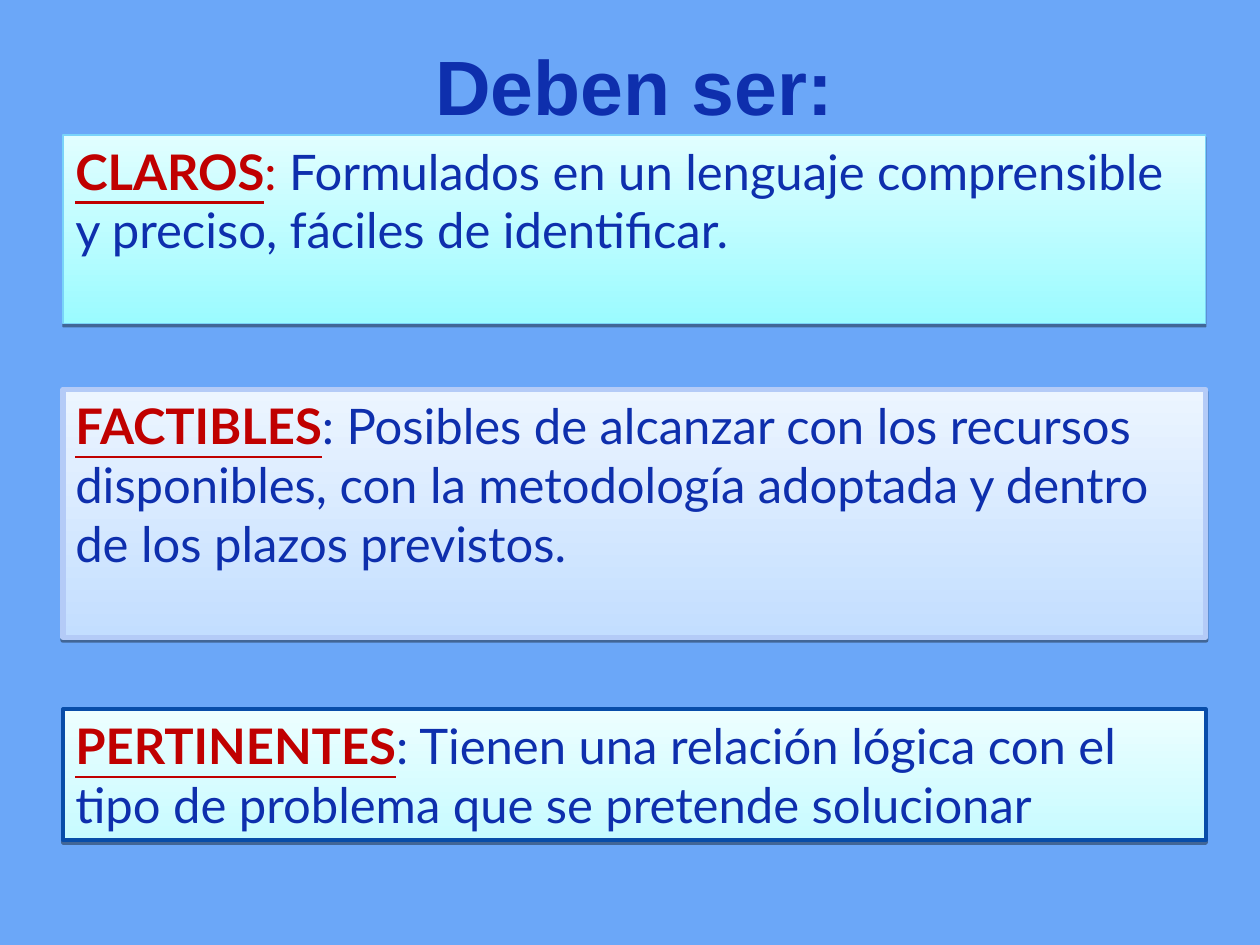
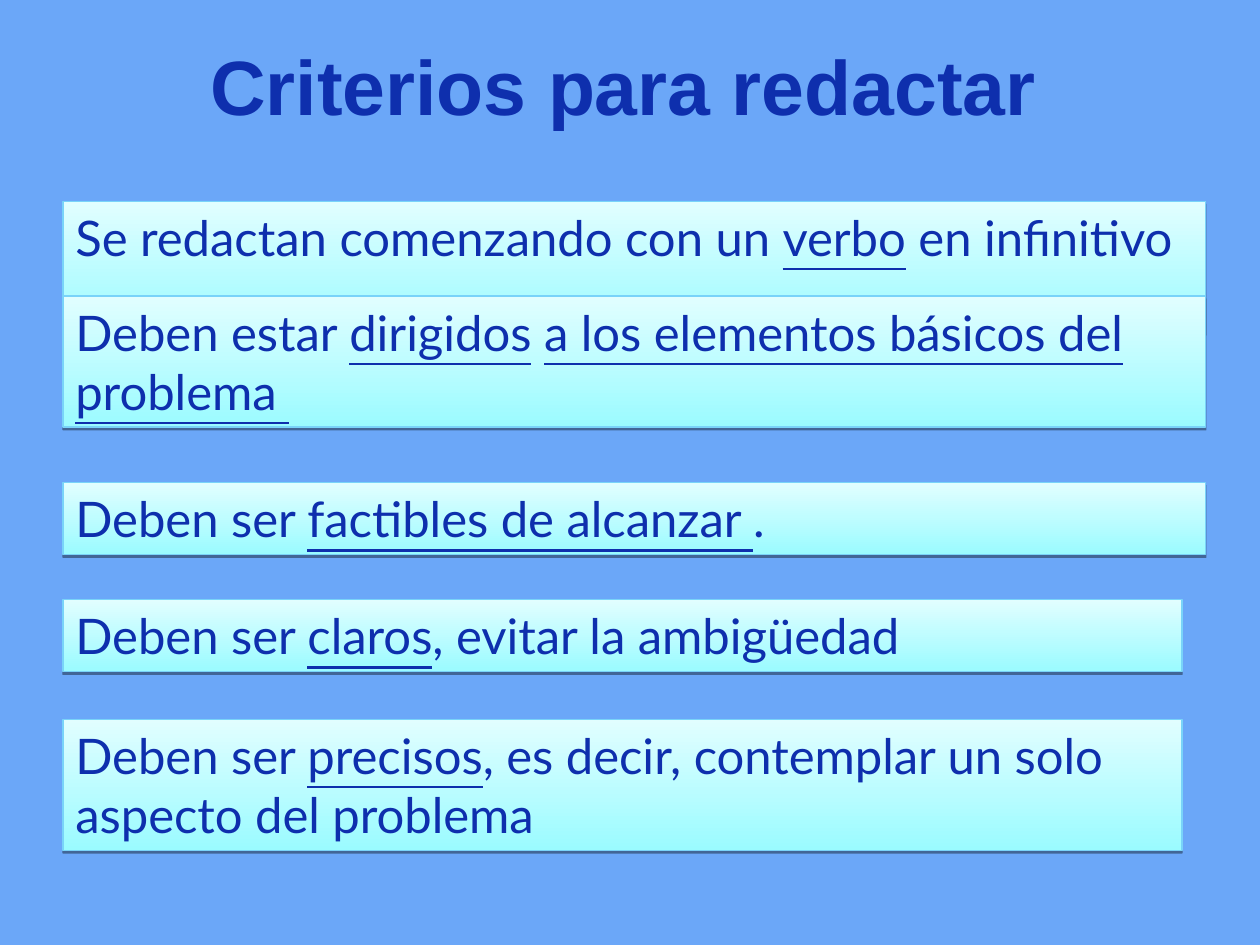
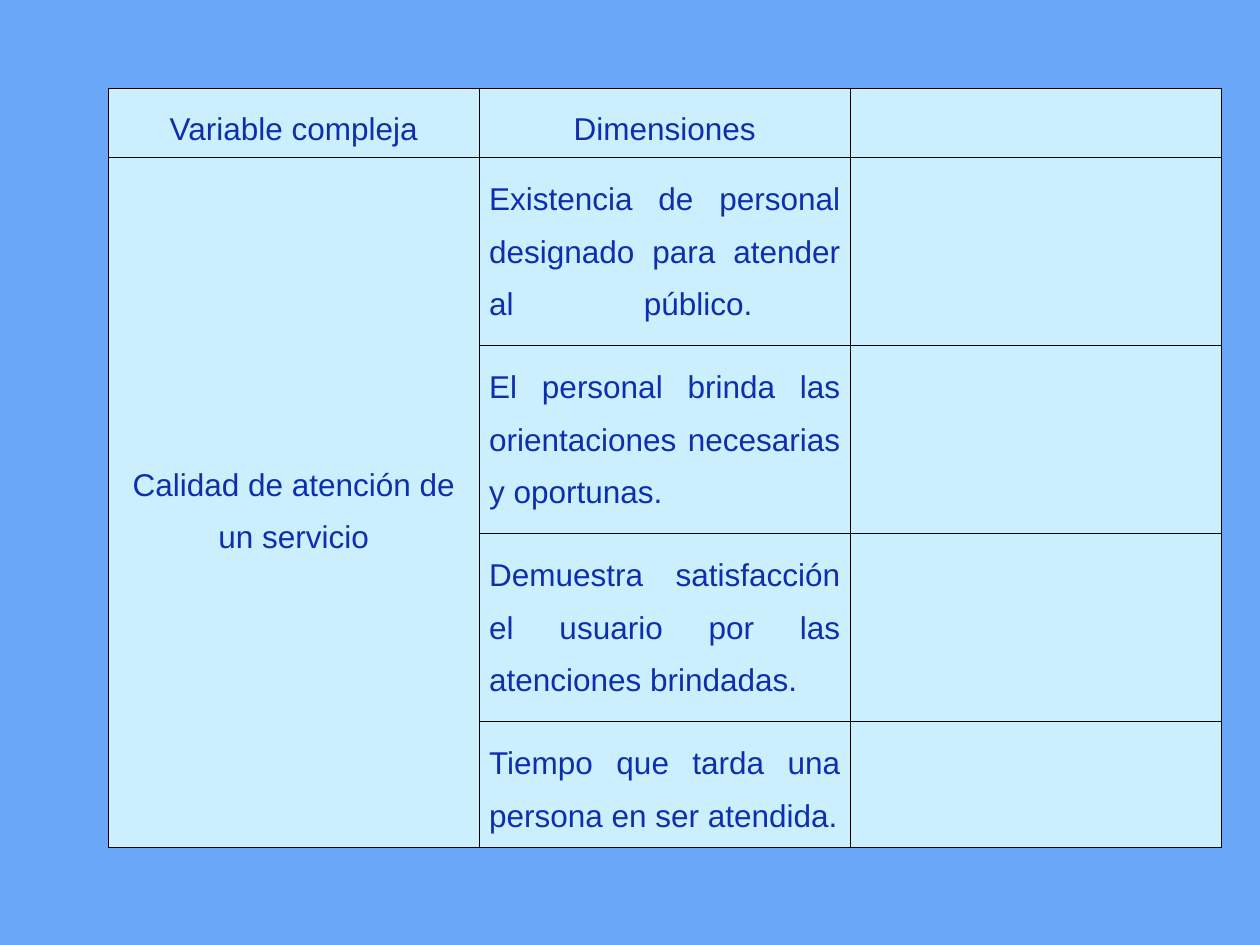
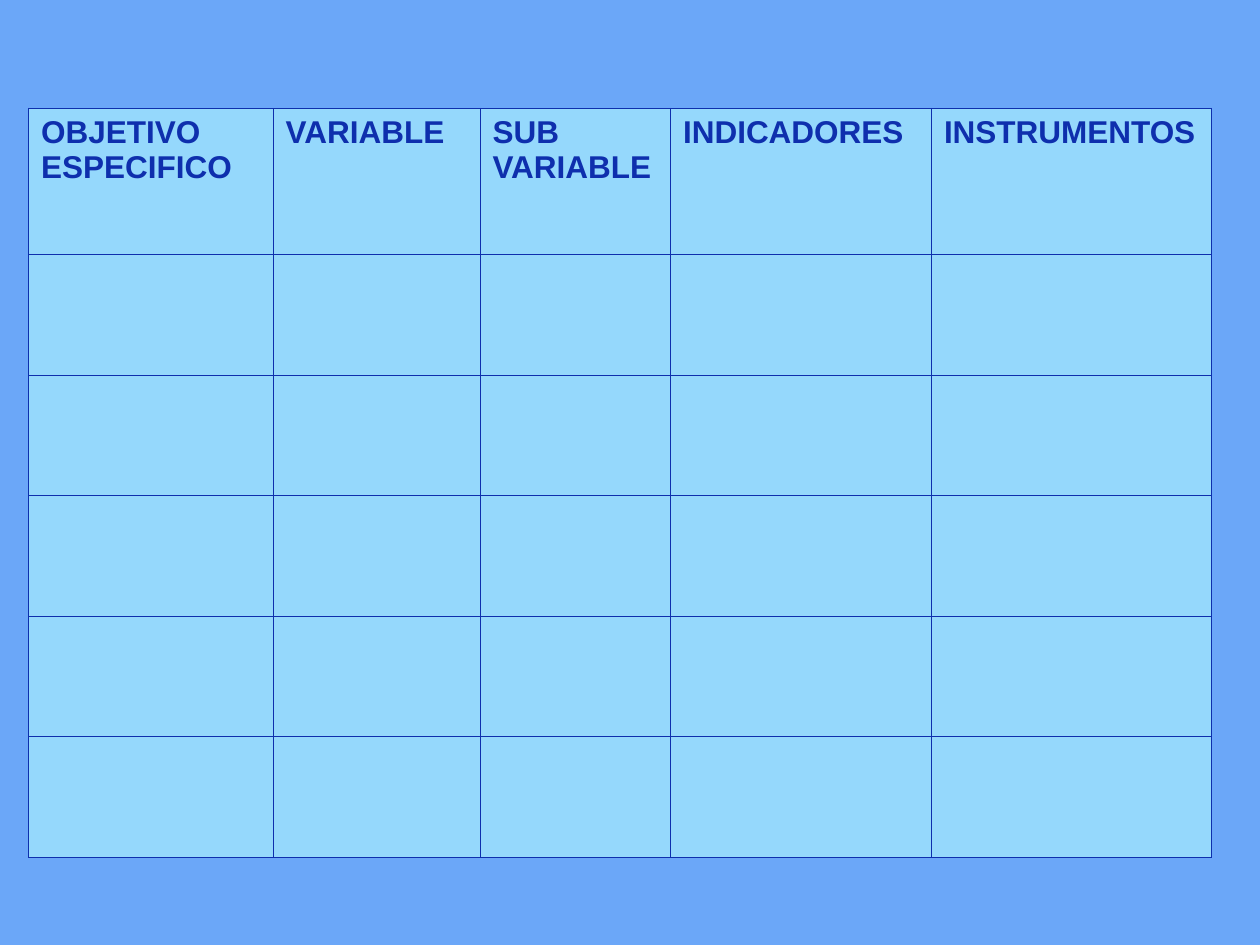
import pptx
import pptx.dml.color
import pptx.enum.shapes
import pptx.enum.text
import pptx.oxml
import pptx.oxml.ns
import pptx.util
import lxml.etree

Cm = pptx.util.Cm
Pt = pptx.util.Pt
rgb = pptx.dml.color.RGBColor.from_string
qn = pptx.oxml.ns.qn
ALIGN = pptx.enum.text.PP_ALIGN
ANCHOR = pptx.enum.text.MSO_ANCHOR

COLORS = {
    "background": "6BA7F8",
    "text": "0E2FAD",
    "keyword": "C00000",
    "shadow": "000000",
    "dimension_border": "000000",
    "dimension_fill": "CCEFFE",
    "matrix_fill": "95D8FC",
    "aqua_low": "9BFBFF", "aqua_high": "E1FEFF", "aqua_line": "79D3F9",
    "blue_low": "C3DEFF", "blue_high": "ECF5FF", "blue_line": "B4CBF7",
    "pale_low": "C7FBFF", "pale_high": "EDFEFF", "pale_line": "084DA9",
}
LINE_WIDTHS = {"aqua": 0.75, "blue": 3, "pale": 2.25}
LEFT = 1.27
WIDE = 23.04
NARROW = 22.56

RUN_STYLES = {
    "plain": ("text", False, False),
    "underlined": ("text", False, True),
    "keyword": ("keyword", True, True),
    "colon": ("keyword", False, False),
}


def style_run(run, font, size, color="text", bold=False, underline=False):
    run.font.name = font
    run.font.size = Pt(size)
    run.font.bold = bold
    run.font.underline = underline
    run.font.color.rgb = rgb(COLORS[color])


def add_grid(slide, left, top, widths, heights, fill, border, side_margin):
    grid = slide.shapes.add_table(
        len(heights), len(widths), Cm(left), Cm(top), Cm(sum(widths)), Cm(sum(heights))
    ).table
    grid.first_row = False
    grid.horz_banding = False
    for column, width in zip(grid.columns, widths):
        column.width = Cm(width)
    for row, height in zip(grid.rows, heights):
        row.height = Cm(height)
    for cell in grid.iter_cells():
        cell.margin_left = cell.margin_right = Cm(side_margin)
        properties = cell._tc.get_or_add_tcPr()
        for side in ("a:lnL", "a:lnR", "a:lnT", "a:lnB"):
            edge = lxml.etree.SubElement(properties, qn(side), w=str(Pt(0.45)))
            solid = lxml.etree.SubElement(edge, qn("a:solidFill"))
            lxml.etree.SubElement(solid, qn("a:srgbClr"), val=COLORS[border])
        cell.fill.solid()
        cell.fill.fore_color.rgb = rgb(COLORS[fill])
    return grid


deck = pptx.Presentation()
deck.slide_width = Cm(25.4)
deck.slide_height = Cm(19.05)
deck.slide_master.background.fill.solid()
deck.slide_master.background.fill.fore_color.rgb = rgb(COLORS["background"])
blank = deck.slide_layouts[6]

criteria_slides = [
    ("Deben ser:", [
        (2.72, WIDE, 3.81, "aqua", [
            ("CLAROS", "keyword"), (":", "colon"),
            (" Formulados en un lenguaje comprensible y preciso, fáciles de identificar.", "plain")]),
        (7.85, WIDE, 5, "blue", [
            ("FACTIBLES", "keyword"),
            (": Posibles de alcanzar con los recursos disponibles, con la metodología "
             "adoptada y dentro de los plazos previstos.", "plain")]),
        (14.3, WIDE, 2.64, "pale", [
            ("PERTINENTES", "keyword"),
            (": Tienen una relación lógica con el tipo de problema que se pretende solucionar", "plain")]),
    ]),
    ("Criterios para redactar ", [
        (4.06, WIDE, 2.64, "aqua", [
            ("Se redactan comenzando con un ", "plain"), ("verbo", "underlined"),
            (" en infinitivo", "plain")]),
        (5.97, WIDE, 2.64, "aqua", [
            ("Deben estar ", "plain"), ("dirigidos", "underlined"), (" ", "plain"),
            ("a los elementos básicos del problema ", "underlined")]),
        (9.73, WIDE, 1.45, "aqua", [
            ("Deben ser ", "plain"), ("factibles de alcanzar ", "underlined"), (".", "plain")]),
        (12.09, NARROW, 1.45, "aqua", [
            ("Deben ser ", "plain"), ("claros", "underlined"),
            (", evitar la ambigüedad", "plain")]),
        (14.5, NARROW, 2.64, "aqua", [
            ("Deben ser ", "plain"), ("precisos", "underlined"),
            (", es decir, contemplar un solo aspecto del problema", "plain")]),
    ]),
]

for heading, criteria in criteria_slides:
    slide = deck.slides.add_slide(blank)
    title = slide.shapes.add_textbox(Cm(LEFT), Cm(0.71), Cm(WIDE), Cm(2))
    title.text_frame.word_wrap = True
    title.text_frame.vertical_anchor = ANCHOR.MIDDLE
    title.text_frame.text = heading
    title.text_frame.paragraphs[0].alignment = ALIGN.CENTER
    style_run(title.text_frame.paragraphs[0].runs[0], "Arial", 44, bold=True)

    for top, width, height, theme, parts in criteria:
        criterion = slide.shapes.add_shape(
            pptx.enum.shapes.MSO_SHAPE.RECTANGLE, Cm(LEFT), Cm(top), Cm(width), Cm(height))
        criterion.fill.gradient()
        criterion.fill.gradient_angle = 90
        for stop, position, tone in zip(criterion.fill.gradient_stops, (0, 1), ("low", "high")):
            stop.position = position
            stop.color.rgb = rgb(COLORS[f"{theme}_{tone}"])
        criterion.line.color.rgb = rgb(COLORS[f"{theme}_line"])
        criterion.line.width = Pt(LINE_WIDTHS[theme])
        criterion.shadow.inherit = False
        effects = criterion._element.spPr.find(qn("a:effectLst"))
        drop = lxml.etree.SubElement(
            effects, qn("a:outerShdw"), blurRad="0", dist=str(Pt(1.6)), dir="5400000", rotWithShape="0")
        tint = lxml.etree.SubElement(drop, qn("a:srgbClr"), val=COLORS["shadow"])
        lxml.etree.SubElement(tint, qn("a:alpha"), val="38000")

        criterion.text_frame.word_wrap = True
        criterion.text_frame.vertical_anchor = ANCHOR.TOP
        sentence = criterion.text_frame.paragraphs[0]
        sentence.alignment = ALIGN.LEFT
        for words, style in parts:
            run = sentence.add_run()
            run.text = words
            style_run(run, "Lato", 28, *RUN_STYLES[style])

slide = deck.slides.add_slide(blank)
dimensions = add_grid(
    slide, 2.18, 1.78, [7.48] * 3, [1.32, 3.79, 3.79, 3.79, 2.46],
    "dimension_fill", "dimension_border", 0.2)
dimensions.cell(1, 0).merge(dimensions.cell(4, 0))
dimensions.cell(1, 0).vertical_anchor = ANCHOR.MIDDLE
dimension_texts = [
    (0, 0, ALIGN.CENTER, "Variable compleja"),
    (0, 1, ALIGN.CENTER, "Dimensiones"),
    (1, 0, ALIGN.CENTER, "Calidad de atención de un servicio"),
    (1, 1, ALIGN.JUSTIFY, "Existencia de personal designado para atender al\tpúblico."),
    (2, 1, ALIGN.JUSTIFY, "El personal brinda las orientaciones necesarias y oportunas."),
    (3, 1, ALIGN.JUSTIFY, "Demuestra satisfacción el usuario por las atenciones brindadas."),
    (4, 1, ALIGN.JUSTIFY, "Tiempo que tarda una persona en ser atendida."),
]
for row, column, alignment, words in dimension_texts:
    paragraph = dimensions.cell(row, column).text_frame.paragraphs[0]
    paragraph.text = words
    paragraph.alignment = alignment
    paragraph.line_spacing = 1.5
    if "\t" in words:
        tabs = lxml.etree.SubElement(paragraph._p.get_or_add_pPr(), qn("a:tabLst"))
        lxml.etree.SubElement(tabs, qn("a:tab"), pos=str(Cm(3.12)), algn="l")
    for run in paragraph.runs:
        style_run(run, "Arial", 18)

slide = deck.slides.add_slide(blank)
matrix = add_grid(
    slide, 0.58, 2.18, [4.93, 4.17, 3.84, 5.26, 5.64], [2.95] + [2.43] * 5,
    "matrix_fill", "text", 0.25)
matrix_headings = ["OBJETIVO\nESPECIFICO", "VARIABLE", "SUB\nVARIABLE", "INDICADORES", "INSTRUMENTOS"]
for column, heading in enumerate(matrix_headings):
    heading_frame = matrix.cell(0, column).text_frame
    heading_frame.text = heading
    for paragraph in heading_frame.paragraphs:
        style_run(paragraph.runs[0], "Arial", 18, bold=True)

deck.save("out.pptx")
